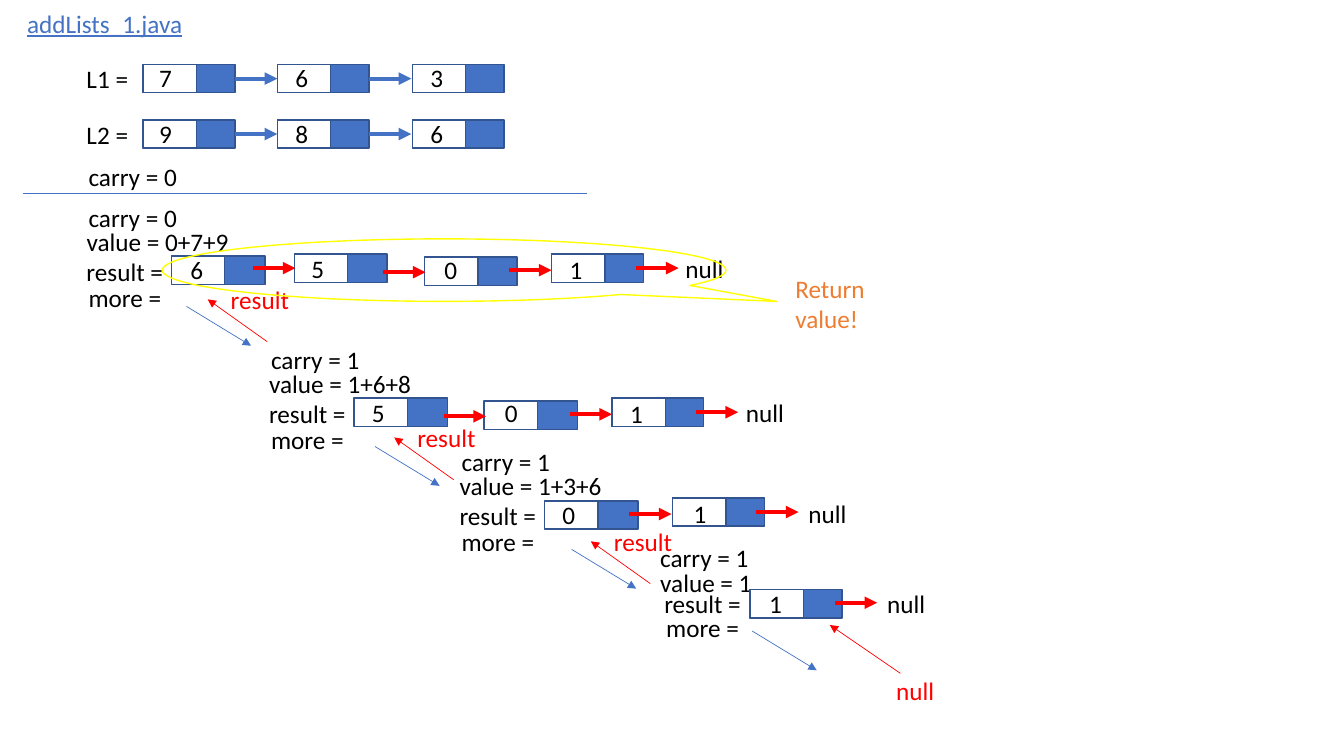
from lxml import etree
from pptx import Presentation
from pptx.dml.color import RGBColor
from pptx.enum import shapes, text
from pptx.oxml import ns
from pptx.util import Inches, Pt

COLORS = {"blue": "4472C4", "edge": "325491", "white": "FFFFFF", "black": "000000",
          "red": "FF0000", "orange": "ED7D31", "yellow": "FFFF00"}
NODE_WIDTH, VALUE_WIDTH, NODE_HEIGHT = 0.91, 0.53, 0.28
LINK = 0.42

# Input lists: label, top, digits
INPUTS = [("L1 =", 0.64, "763"), ("L2 =", 1.19, "986")]
INPUT_LEFTS = [1.42, 2.75, 4.09]

# Recursive calls: left and top of the labels, carry, value, start of the call arrow,
# tip of the return arrow
CALLS = [
    (0.76, 1.96, "0", "0+7+9", (1.85, 3.04), (2.06, 2.97)),
    (2.57, 3.37, "1", "1+6+8", (3.72, 4.43), (3.91, 4.34)),
    (4.46, 4.38, "1", "1+3+6", (5.67, 5.45), (5.86, 5.37)),
]

# Result lists: nodes (left, top, offset of pointer cell, digit, left and top of digit),
# then the start of each link
RESULTS = [
    ([(1.7, 2.54, 0.02, "6", 1.79, 2.47), (2.92, 2.52, 0.01, "5", 2.99, 2.46),
      (4.21, 2.55, 0.01, "0", 4.31, 2.47), (5.47, 2.52, 0, "1", 5.55, 2.47)],
     [(2.51, 2.66), (3.8, 2.7), (5.05, 2.68), (6.31, 2.66)], (6.7, 2.46)),
    ([(3.51, 3.95, 0.02, "5", 3.59, 3.89), (4.8, 3.98, 0.02, "0", 4.91, 3.89),
      (6.07, 3.95, 0, "1", 6.15, 3.9)],
     [(4.4, 4.13), (5.65, 4.11), (6.9, 4.09)], (7.3, 3.89)),
    ([(5.4, 4.97, 0.02, "0", 5.48, 4.9), (6.67, 4.94, 0, "1", 6.78, 4.89)],
     [(6.24, 5.1), (7.5, 5.08)], (7.92, 4.89)),
    ([(7.44, 5.85, 0, "1", 7.53, 5.79)], [(8.28, 5.98)], (8.7, 5.79)),
]


def rgb(name):
    return RGBColor.from_string(COLORS[name])


def add_label(slide, left, top, words, width=1.17, height=0.4, color="black",
              wrap=True, underline=None):
    box = slide.shapes.add_textbox(Inches(left), Inches(top), Inches(width), Inches(height))
    frame = box.text_frame
    frame.word_wrap = wrap
    frame.auto_size = text.MSO_AUTO_SIZE.SHAPE_TO_FIT_TEXT
    run = frame.paragraphs[0].add_run()
    run.text = words
    run.font.color.rgb = rgb(color)
    style = {"name": "Calibri", "size": Pt(18), "underline": underline}
    for name, value in style.items():
        setattr(run.font, name, value)


def add_outlined(slide, kind, left, top, width, height, fill, line):
    shape = slide.shapes.add_shape(kind, Inches(left), Inches(top), Inches(width), Inches(height))
    shape.shadow.inherit = False
    if fill:
        shape.fill.solid()
        shape.fill.fore_color.rgb = rgb(fill)
    else:
        shape.fill.background()
    shape.line.color.rgb = rgb(line)
    shape.line.width = Pt(1)
    return shape


def add_line(slide, start, end, color="blue", width=0.5, arrow=True):
    points = [Inches(value) for value in (*start, *end)]
    connector = slide.shapes.add_connector(shapes.MSO_CONNECTOR.STRAIGHT, *points)
    connector.line.color.rgb = rgb(color)
    connector.line.width = Pt(width)
    if arrow:
        outline = connector.line._get_or_add_ln()
        etree.SubElement(outline, ns.qn("a:tailEnd"), type="triangle")
    etree.SubElement(connector._element.spPr, ns.qn("a:effectLst"))


def add_link(slide, left, top, color):
    add_line(slide, (left, top), (left + LINK, top), color, 3)


def add_node(slide, left, top, pointer_offset, digit, digit_left, digit_top):
    """Draw a list node: a value cell over a filled pointer cell."""
    for cell_left, width, fill in ((left + pointer_offset, NODE_WIDTH, "blue"),
                                   (left, VALUE_WIDTH, "white")):
        add_outlined(slide, shapes.MSO_SHAPE.RECTANGLE, cell_left, top, width,
                     NODE_HEIGHT, fill, "edge")
    add_label(slide, digit_left, digit_top, digit, width=0.39)


def add_input_list(slide, label, top, digits):
    add_label(slide, 0.76, top - 0.06, label, width=0.64)
    for index, (left, digit) in enumerate(zip(INPUT_LEFTS, digits)):
        add_node(slide, left, top, 0, digit, left + (0.08 if index else 0.06), top - 0.07)
    for left in INPUT_LEFTS[:-1]:
        add_link(slide, left + NODE_WIDTH, top + NODE_HEIGHT / 2, "blue")


def add_call_arrow(slide, start):
    add_line(slide, start, (start[0] + 0.64, start[1] + 0.39))


def add_call(slide, left, top, carry, value, call_start, return_tip):
    """Write the variables of one call, with the arrows to and from the next call."""
    add_label(slide, left + 0.02, top, f"carry = {carry}")
    add_label(slide, left, top + 0.24, f"value = {value}", width=1.99)
    add_label(slide, left, top + 0.53, "result =")
    add_label(slide, left + 0.02, top + 0.79, "more =")
    add_call_arrow(slide, call_start)
    tip_left, tip_top = return_tip
    add_line(slide, (tip_left + 0.59, tip_top + 0.42), return_tip, "red")
    add_label(slide, tip_left + 0.13, tip_top - 0.2, "result", 0.79, color="red", wrap=False)


def add_last_call(slide):
    for left, top, words in ((6.45, 5.33, "carry = 1"), (6.45, 5.58, "value = 1"),
                             (6.49, 5.79, "result ="), (6.51, 6.03, "more =")):
        add_label(slide, left, top, words)
    add_call_arrow(slide, (7.46, 6.26))
    add_line(slide, (8.93, 6.68), (8.23, 6.2), "red")
    add_label(slide, 8.79, 6.65, "null", 0.58, color="red", wrap=False)


def add_result_list(slide, nodes, links, null_place):
    for node in nodes:
        add_node(slide, *node)
    for left, top in links:
        add_link(slide, left, top, "red")
    add_label(slide, *null_place, "null", 0.58, wrap=False)


def add_return_callout(slide):
    add_label(slide, 7.79, 2.66, "Return value!", height=0.71, color="orange")
    callout = add_outlined(slide, shapes.MSO_SHAPE.OVAL_CALLOUT, 1.61, 2.37, 5.59, 0.62,
                           None, "yellow")
    callout.adjustments[0] = 0.59
    callout.adjustments[1] = 0.5


def main():
    presentation = Presentation()
    presentation.slide_width = Inches(13.33)
    presentation.slide_height = Inches(7.5)
    slide = presentation.slides.add_slide(presentation.slide_layouts[6])

    add_label(slide, 0.17, 0.03, "addLists_1.java", 2.34, color="blue", underline=True)
    for row in INPUTS:
        add_input_list(slide, *row)
    add_label(slide, 0.78, 1.55, "carry = 0")
    add_line(slide, (0.23, 1.92), (5.82, 1.92), arrow=False)

    for call in CALLS:
        add_call(slide, *call)
    add_last_call(slide)
    for result in RESULTS:
        add_result_list(slide, *result)
    add_return_callout(slide)
    presentation.save("out.pptx")


if __name__ == "__main__":
    main()
